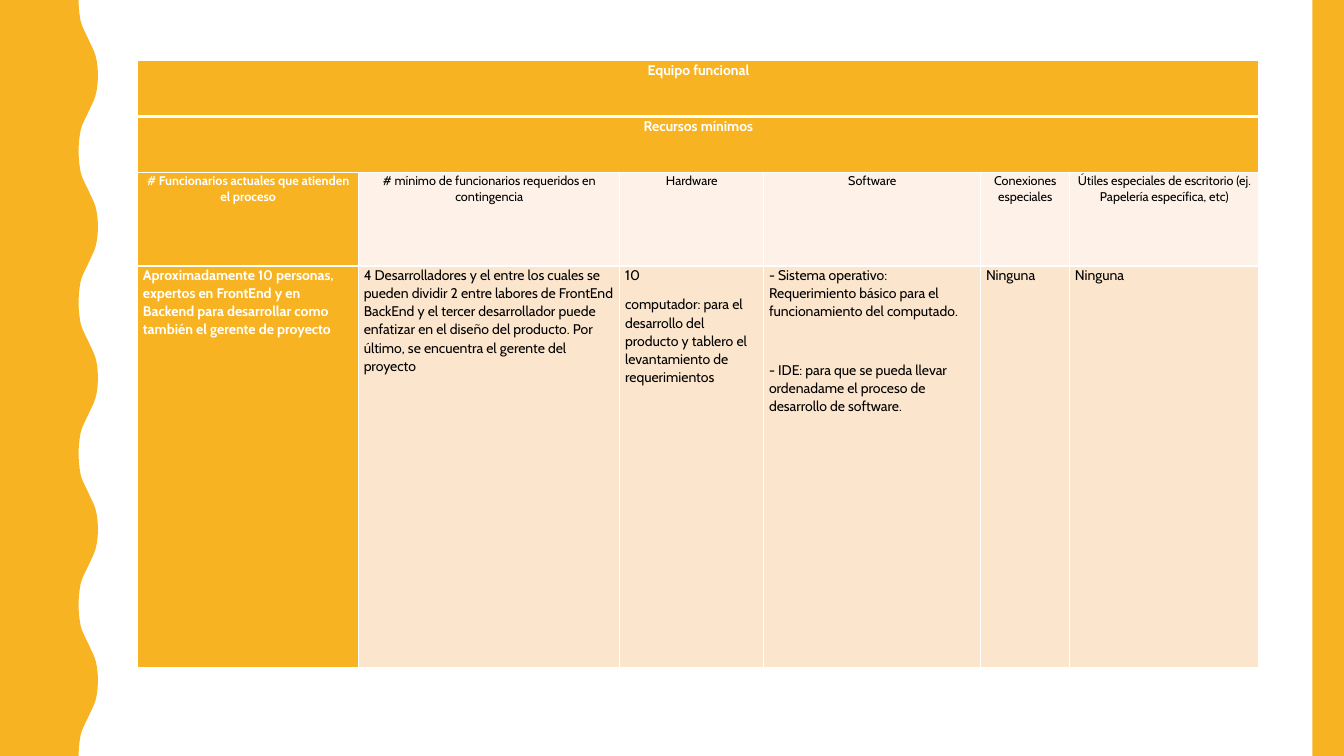
from lxml.etree import SubElement
from pptx import Presentation
from pptx.dml.color import RGBColor
from pptx.enum.shapes import MSO_SHAPE
from pptx.enum.text import PP_ALIGN
from pptx.oxml.ns import qn
from pptx.util import Pt

TITLES = ["Equipo funcional", "Recursos mínimos"]
HEADINGS = [
    "# Funcionarios actuales que atienden el proceso",
    "# mínimo de funcionarios requeridos en contingencia",
    "Hardware",
    "Software",
    "Conexiones especiales",
    "Útiles especiales de escritorio (ej. Papelería específica, etc)",
]
RESOURCES = [
    ["Aproximadamente 10 personas, expertos en FrontEnd y en Backend para "
     "desarrollar como también el gerente de proyecto"],
    ["4 Desarrolladores y el entre los cuales se pueden dividir 2 entre labores de "
     "FrontEnd BackEnd y el tercer desarrollador puede enfatizar en el diseño del "
     "producto. Por último, se encuentra el gerente del proyecto"],
    ["10",
     "computador: para el desarrollo del producto y tablero el levantamiento de "
     "requerimientos"],
    ["- Sistema operativo: Requerimiento básico para el funcionamiento del computado.",
     "- IDE: para que se pueda llevar ordenadame el proceso de desarrollo de software."],
    ["Ninguna"],
    ["Ninguna"],
]
SOFTWARE = HEADINGS.index("Software")

THEME = {
    "font": "Cabin", "body": 10, "heading": 9,
    "accent": "F8B323", "light": "FEF2E8", "peach": "FCE5CD",
    "white": "FFFFFF", "black": "000000",
}
WIDTH, HEIGHT = 960, 540
BAND_LEFT = 937.5
TABLE_LEFT, TABLE_TOP = 98.4, 43.4
COLS = [157.7, 186.7, 102.8, 155, 63.5, 135.2]
ROWS = [39.8, 39.8, 67, 286.6]
THIN, THICK = 1, 3
PARA_GAP, SOFTWARE_GAP = 8, 29
WAVE_PERIOD = 108
WAVE_RISE = [
    (56.2, 0), (56.3, 5), (56.8, 10), (57.5, 14.5), (58.5, 18),
    (59.8, 21), (61.2, 24), (62.7, 27), (64.1, 30), (65.5, 33),
    (66.9, 36), (68.2, 39.5), (69.2, 44), (69.8, 49), (70, 54),
]


def color(name):
    return RGBColor.from_string(THEME[name])


def paint(sp):
    sp.shadow.inherit = False
    sp.fill.solid()
    sp.fill.fore_color.rgb = color("accent")
    sp.line.fill.background()


def add_wave(s):
    fall = [(x, WAVE_PERIOD - y) for x, y in reversed(WAVE_RISE[1:-1])]
    edge = [(x, y + n * WAVE_PERIOD)
            for n in range(HEIGHT // WAVE_PERIOD) for x, y in WAVE_RISE + fall]
    edge += [(WAVE_RISE[0][0], HEIGHT), (0, HEIGHT)]
    builder = s.shapes.build_freeform(0, 0)
    builder.add_line_segments([(Pt(x), Pt(y)) for x, y in edge], close=True)
    paint(builder.convert_to_shape())


def set_borders(cell, top, bottom):
    tcPr = cell._tc.get_or_add_tcPr()
    for side, width in (("L", THIN), ("R", THIN), ("T", top), ("B", bottom)):
        ln = SubElement(tcPr, qn("a:ln" + side), w=str(Pt(width)))
        fill = SubElement(ln, qn("a:solidFill"))
        SubElement(fill, qn("a:srgbClr"), val=THEME["white"])


def fill_cell(cell, texts, back, size, align, gap=PARA_GAP):
    cell.fill.solid()
    cell.fill.fore_color.rgb = color(back)
    cell.margin_left = cell.margin_right = Pt(3.75)
    cell.margin_top = cell.margin_bottom = 0
    tf = cell.text_frame
    tf.text = "\n".join(texts)
    for p in tf.paragraphs:
        p.alignment = align
        p.line_spacing = 1.07
        p.space_after = Pt(gap)
        p.font.name = THEME["font"]
        p.font.size = Pt(THEME[size])
        p.font.bold = back == "accent"
        p.font.color.rgb = color("white" if back == "accent" else "black")


def add_resources(s):
    frame = s.shapes.add_table(len(ROWS), len(COLS), Pt(TABLE_LEFT), Pt(TABLE_TOP),
                               Pt(sum(COLS)), Pt(sum(ROWS)))
    table = frame.table
    table.first_row = table.horz_banding = False
    for col, width in zip(table.columns, COLS):
        col.width = Pt(width)
    for row, height in zip(table.rows, ROWS):
        row.height = Pt(height)
    for r in range(len(ROWS)):
        for c in range(len(COLS)):
            set_borders(table.cell(r, c), THICK if r == 1 else THIN,
                        THICK if r == 0 else THIN)
    for r, title in enumerate(TITLES):
        table.cell(r, 0).merge(table.cell(r, len(COLS) - 1))
        fill_cell(table.cell(r, 0), [title], "accent", "body", PP_ALIGN.CENTER)
    for c, (heading, texts) in enumerate(zip(HEADINGS, RESOURCES)):
        fill_cell(table.cell(2, c), [heading], "light" if c else "accent",
                  "heading", PP_ALIGN.CENTER)
        fill_cell(table.cell(3, c), texts, "peach" if c else "accent",
                  "body", PP_ALIGN.LEFT, SOFTWARE_GAP if c == SOFTWARE else PARA_GAP)


prs = Presentation()
prs.slide_width, prs.slide_height = Pt(WIDTH), Pt(HEIGHT)
s = prs.slides.add_slide(prs.slide_layouts[6])
add_wave(s)
paint(s.shapes.add_shape(MSO_SHAPE.RECTANGLE, Pt(BAND_LEFT), 0,
                         Pt(WIDTH - BAND_LEFT), Pt(HEIGHT)))
add_resources(s)
prs.save("out.pptx")
